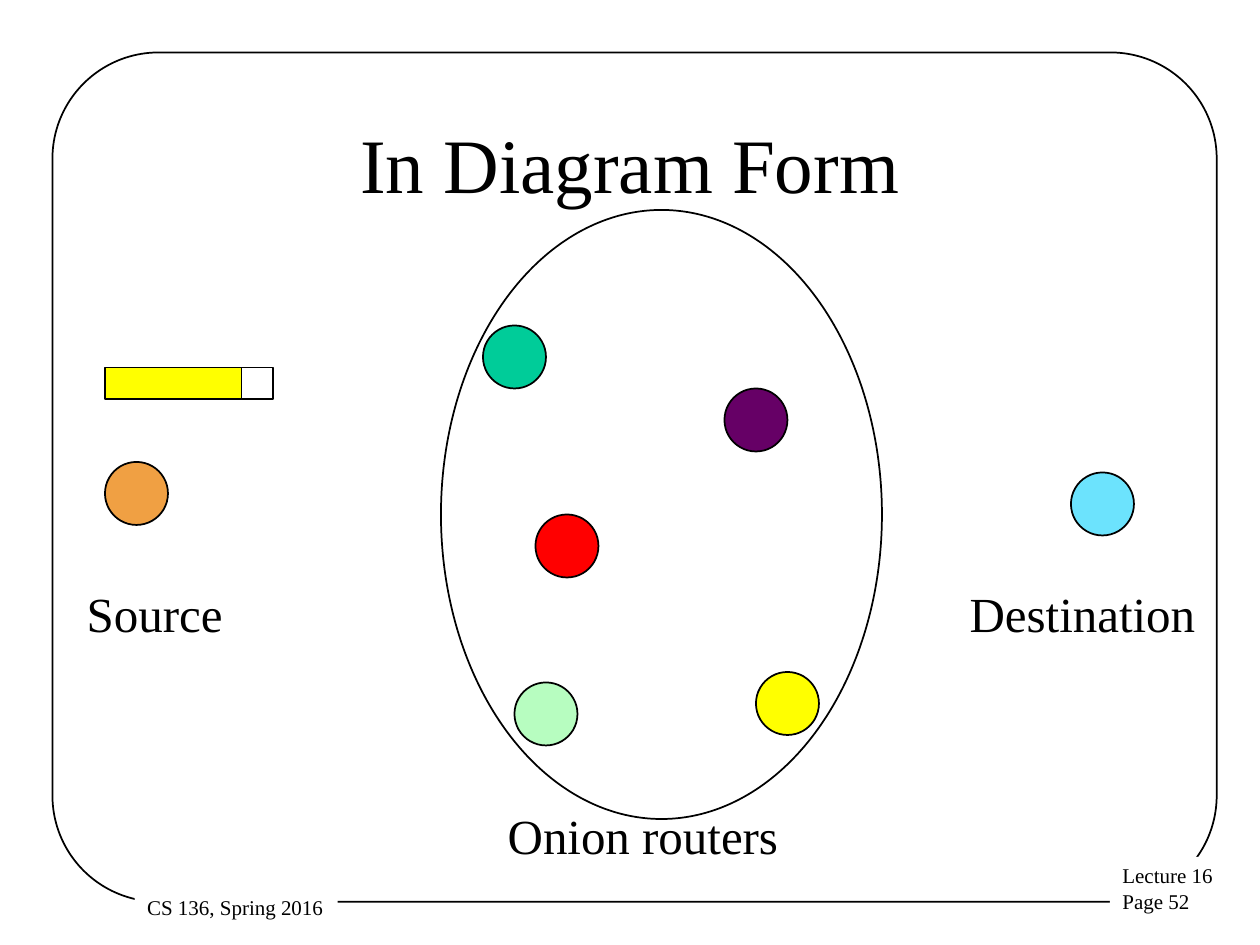
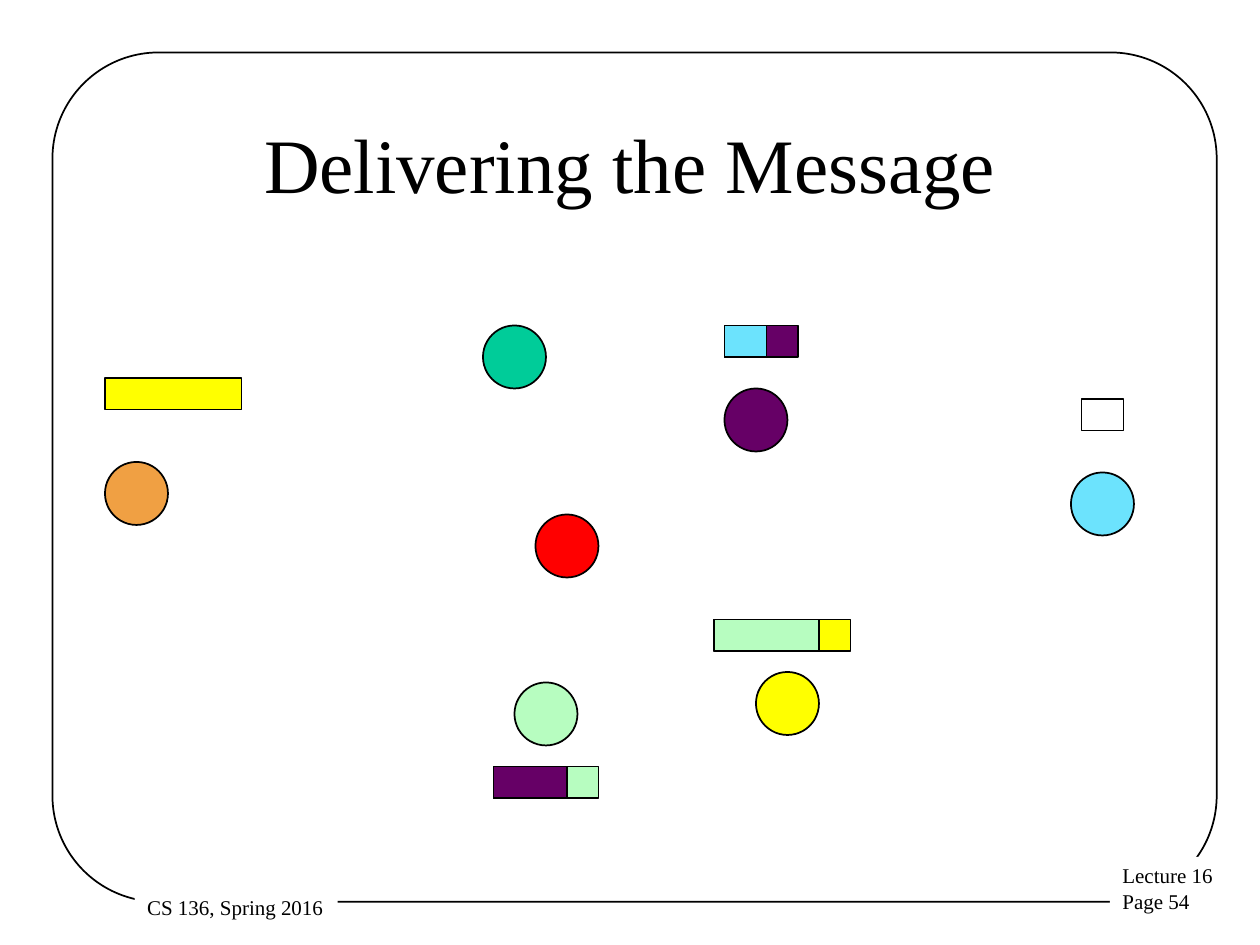
from pptx import Presentation
from pptx.dml.color import RGBColor
from pptx.enum.shapes import MSO_SHAPE
from pptx.enum.text import MSO_ANCHOR, PP_ALIGN
from pptx.util import Pt

BLACK = RGBColor(0x00, 0x00, 0x00)
WHITE = RGBColor(0xFF, 0xFF, 0xFF)
TEAL = RGBColor(0x00, 0xCC, 0x99)
RED = RGBColor(0xFF, 0x00, 0x00)
PURPLE = RGBColor(0x66, 0x00, 0x66)
YELLOW = RGBColor(0xFF, 0xFF, 0x00)
ORANGE = RGBColor(0xF0, 0xA0, 0x43)
CYAN = RGBColor(0x6C, 0xE3, 0xFD)
GREEN = RGBColor(0xB7, 0xFD, 0xC0)

NODE_SIZE = 36
PACKET_HEIGHT = 18
HEADER_WIDTH = 18
LAYER_WIDTHS = {YELLOW: 78, GREEN: 60, PURPLE: 42, CYAN: 24, WHITE: 24}

NODES = [
    (276, 186, TEAL),
    (306, 294, RED),
    (414, 222, PURPLE),
    (432, 384, YELLOW),
    (60, 264, ORANGE),
    (612, 270, CYAN),
    (294, 390, GREEN),
]
ROLES = [
    ("Source", 42.5, 330, 94),
    ("Destination", 547, 330, 145),
    ("Onion routers", 283, 456.5, 170),
]
DELIVERY_PACKETS = [
    (60, 216, [YELLOW]),
    (408, 354, [YELLOW, GREEN]),
    (282, 438, [GREEN, PURPLE]),
    (414, 186, [PURPLE, CYAN]),
    (618, 228, [WHITE]),
]


class OnionDeck:
    """Draws onion routing slides in one shared style."""

    def __init__(self):
        self.presentation = Presentation()
        self.presentation.slide_width = Pt(720)
        self.presentation.slide_height = Pt(540)
        self.slide = None

    def outline(self, kind, left, top, width, height, fill=None):
        figure = self.slide.shapes.add_shape(
            kind, Pt(left), Pt(top), Pt(width), Pt(height))
        figure.shadow.inherit = False
        if fill is None:
            figure.fill.background()
        else:
            figure.fill.solid()
            figure.fill.fore_color.rgb = fill
        figure.line.color.rgb = BLACK
        figure.line.width = Pt(1)
        return figure

    def label(self, wording, left, top, width, height, size,
              align=PP_ALIGN.LEFT, anchor=MSO_ANCHOR.TOP, fill=None):
        caption = self.slide.shapes.add_textbox(
            Pt(left), Pt(top), Pt(width), Pt(height))
        if fill is not None:
            caption.fill.solid()
            caption.fill.fore_color.rgb = fill
        frame = caption.text_frame
        frame.text = wording
        for name, value in {"word_wrap": True, "vertical_anchor": anchor}.items():
            setattr(frame, name, value)
        for paragraph in frame.paragraphs:
            paragraph.alignment = align
            paragraph.font.color.rgb = BLACK
            typeface = {"name": "Times New Roman", "size": Pt(size)}
            for name, value in typeface.items():
                setattr(paragraph.font, name, value)

    def start_slide(self, title, page):
        blank = self.presentation.slide_layouts[6]
        self.slide = self.presentation.slides.add_slide(blank)
        border = self.outline(MSO_SHAPE.ROUNDED_RECTANGLE, 30, 30, 665.3, 485.3)
        border.adjustments[0] = 0.125
        self.label(f"Lecture 16\nPage {page}", 634.3, 489.6, 91.4, 36, 12, fill=WHITE)
        self.label("CS 136, Spring 2016", 77, 507.6, 116, 21.6, 12, fill=WHITE)
        self.label(title, 54, 48, 612, 90, 44, PP_ALIGN.CENTER, MSO_ANCHOR.MIDDLE)

    def nodes(self):
        for left, top, color in NODES:
            self.outline(MSO_SHAPE.OVAL, left, top, NODE_SIZE, NODE_SIZE, color)

    def packet(self, left, top, layers):
        for color in layers:
            self.outline(MSO_SHAPE.RECTANGLE, left, top,
                         LAYER_WIDTHS[color], PACKET_HEIGHT, color)

    def header(self, left, top):
        self.outline(MSO_SHAPE.RECTANGLE, left, top, HEADER_WIDTH, PACKET_HEIGHT)


def main():
    deck = OnionDeck()

    deck.start_slide("In Diagram Form", 52)
    deck.nodes()
    for role, left, top, width in ROLES:
        deck.label(role, left, top, width, 41, 28)
    deck.outline(MSO_SHAPE.OVAL, 252, 120, 252, 348)
    deck.packet(60, 210, [YELLOW])
    deck.header(60 + LAYER_WIDTHS[YELLOW], 210)

    deck.start_slide("Delivering the Message", 54)
    deck.nodes()
    for left, top, layers in DELIVERY_PACKETS:
        deck.packet(left, top, layers)

    deck.presentation.save("out.pptx")


if __name__ == "__main__":
    main()
